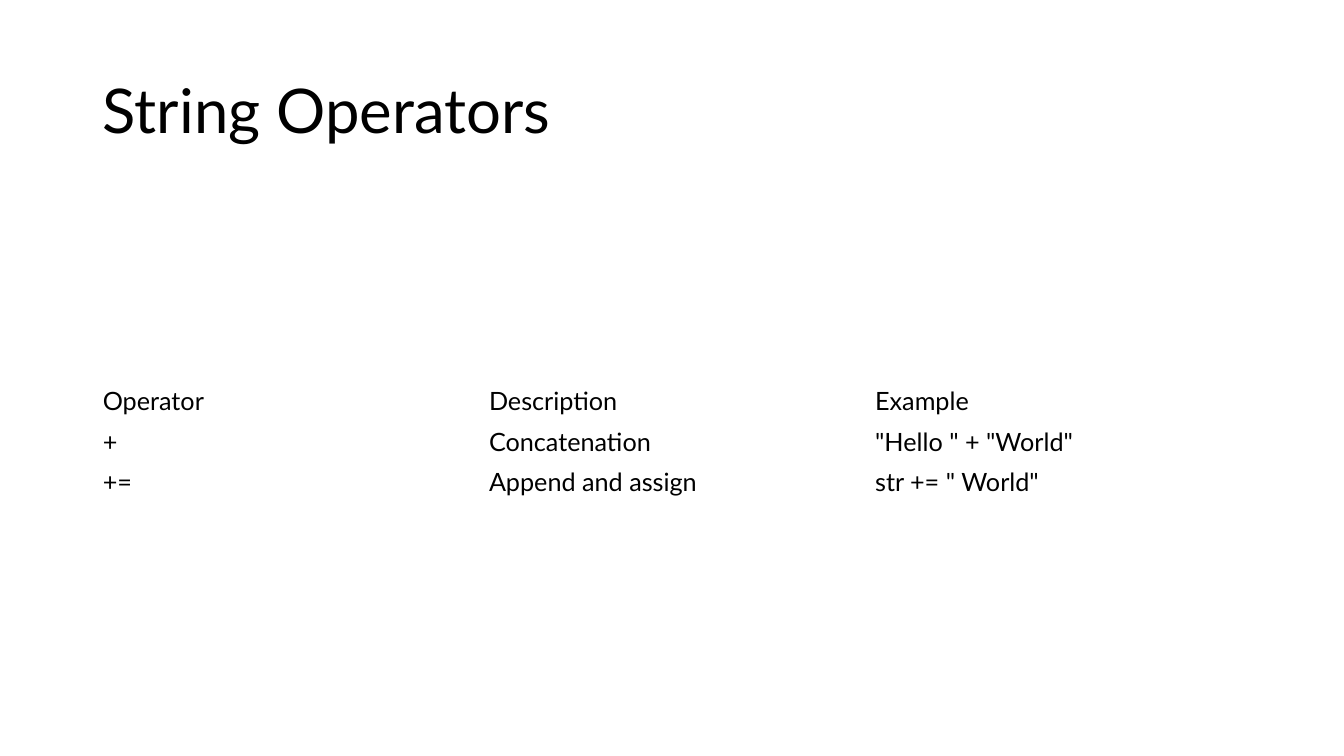
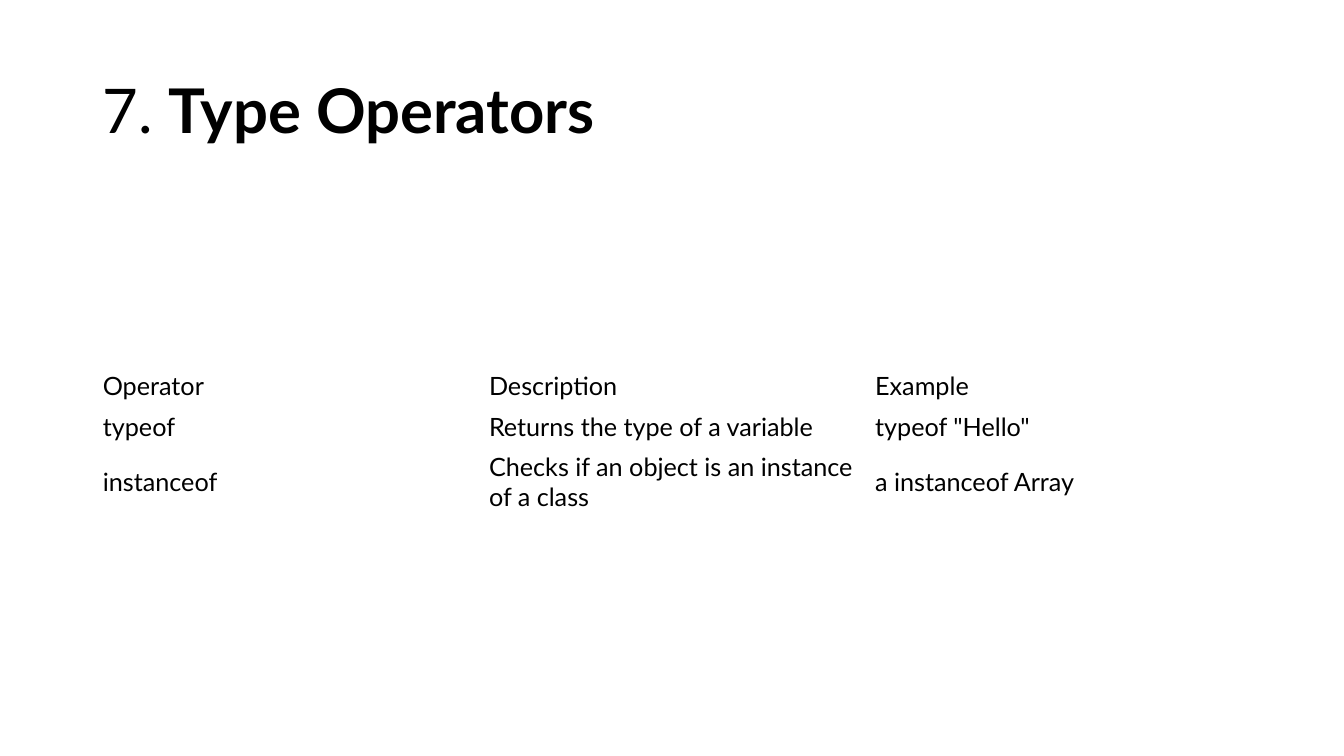
import dataclasses

import pptx
import pptx.dml.color
import pptx.enum.text
import pptx.util


@dataclasses.dataclass(frozen=True)
class Theme:
    """Colours, type sizes and grid measures in inches shared by the slides."""
    font: str = "Lato"
    ink: str = "000000"
    paper: str = "FFFFFF"
    title_size: int = 44
    cell_size: int = 18
    width: float = 13.33
    height: float = 7.5
    columns: int = 3
    column: float = 3.83
    row: float = 0.4
    extra_line: float = 0.3
    title_height: float = 1.45
    table_middle: float = 4.38

    @property
    def left(self):
        """Return the margin that centres the columns."""
        return (self.width - self.columns * self.column) / 2


def add_text(paragraph, text, *, theme, size, bold=False):
    """Append a formatted run to a paragraph."""
    run = paragraph.add_run()
    run.text = text
    run.font.name = theme.font
    run.font.size = pptx.util.Pt(size)
    run.font.bold = bold
    run.font.color.rgb = pptx.dml.color.RGBColor.from_string(theme.ink)


class Deck:
    """Presentation style together with the current slide."""

    def __init__(self, theme):
        """Start a presentation at the theme's size."""
        self.theme = theme
        self.presentation = pptx.Presentation()
        self.presentation.slide_width = pptx.util.Inches(theme.width)
        self.presentation.slide_height = pptx.util.Inches(theme.height)
        self.slide = None

    def new_slide(self):
        """Add a title-only slide and make it current."""
        self.slide = self.presentation.slides.add_slide(self.presentation.slide_layouts[5])
        background = self.slide.background.fill
        background.solid()
        background.fore_color.rgb = pptx.dml.color.RGBColor.from_string(self.theme.paper)

    def box(self, top, height):
        """Return left, top, width and height across all columns."""
        theme = self.theme
        lengths = theme.left, top, theme.columns * theme.column, height
        return [pptx.util.Inches(length) for length in lengths]

    def title(self, *parts):
        """Fill the title from pairs of text and boldness."""
        heading = self.slide.shapes.title
        heading.left, heading.top, heading.width, heading.height = self.box(
            self.theme.row, self.theme.title_height)
        frame = heading.text_frame
        frame.word_wrap = True
        frame.vertical_anchor = pptx.enum.text.MSO_ANCHOR.MIDDLE
        paragraph = frame.paragraphs[0]
        paragraph.alignment = pptx.enum.text.PP_ALIGN.LEFT
        paragraph.line_spacing = 0.9
        for text, bold in parts:
            add_text(paragraph, text, theme=self.theme, size=self.theme.title_size, bold=bold)

    def table(self, entries, line_counts):
        """Add a plain table centred on the table's middle line."""
        theme = self.theme
        heights = [theme.row + (lines - 1) * theme.extra_line for lines in line_counts]
        total = sum(heights)
        operators = self.slide.shapes.add_table(
            len(entries), theme.columns, *self.box(theme.table_middle - total / 2, total)).table
        operators.first_row = False
        operators.horz_banding = False
        for row, height, texts in zip(operators.rows, heights, entries):
            row.height = pptx.util.Inches(height)
            for cell, text in zip(row.cells, texts):
                cell.fill.background()
                cell.vertical_anchor = pptx.enum.text.MSO_ANCHOR.MIDDLE
                add_text(cell.text_frame.paragraphs[0], text, theme=theme, size=theme.cell_size)


HEADER = ("Operator", "Description", "Example")

LESSONS = [
    (
        [("String Operators", False)],
        [("+", "Concatenation", '"Hello " + "World"'),
         ("+=", "Append and assign", 'str += " World"')],
        (1, 1, 1),
    ),
    (
        [("7. ", False), ("Type Operators", True)],
        [("typeof", "Returns the type of a variable", 'typeof "Hello"'),
         ("instanceof", "Checks if an object is an instance of a class", "a instanceof Array")],
        (1, 1, 2),
    ),
]


def main():
    """Build and save the operator slides."""
    deck = Deck(Theme())
    for title_parts, operators, line_counts in LESSONS:
        deck.new_slide()
        deck.title(*title_parts)
        deck.table([HEADER, *operators], line_counts)
    deck.presentation.save("out.pptx")


if __name__ == "__main__":
    main()
